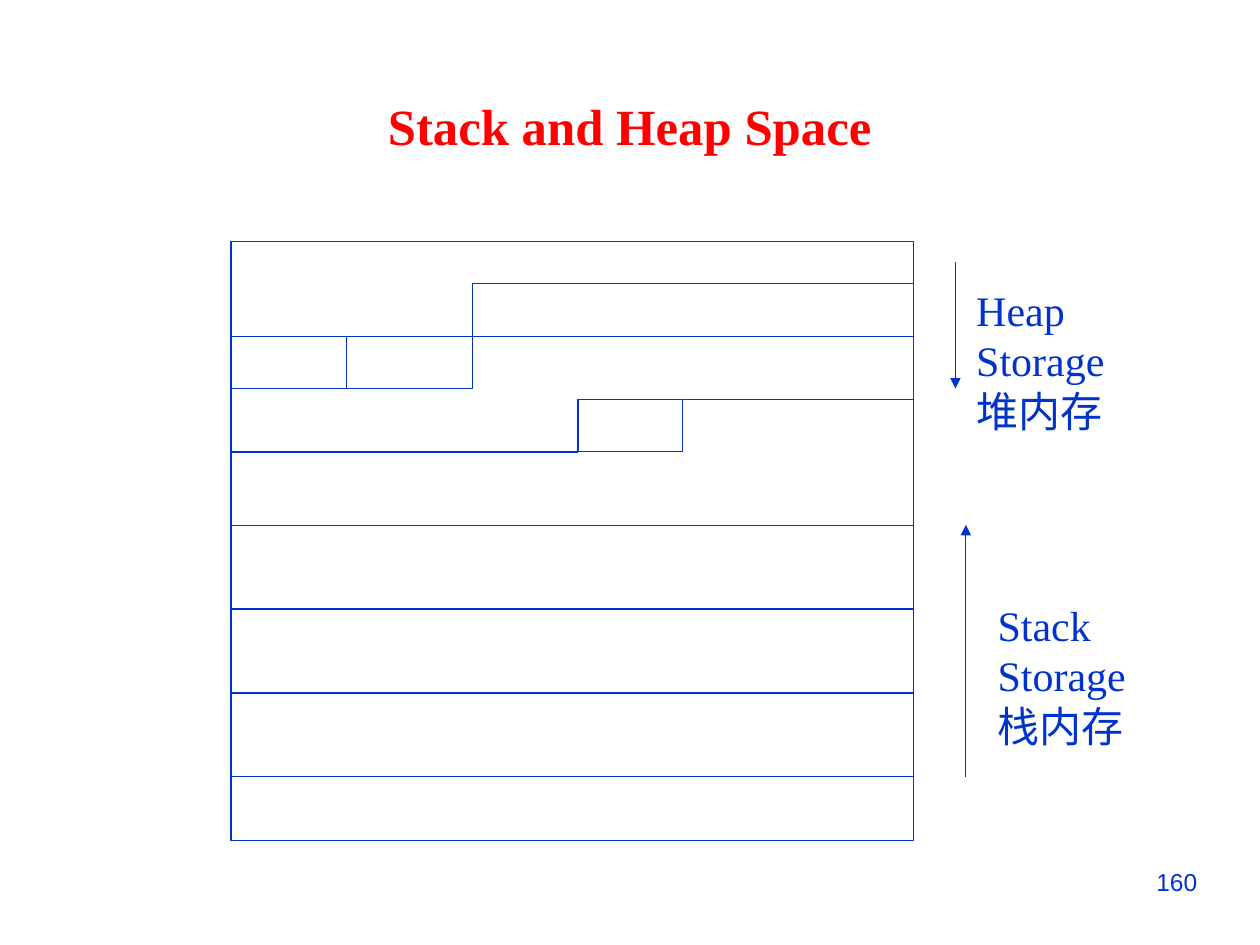
from lxml import etree
from pptx import Presentation
from pptx.dml.color import RGBColor
from pptx.enum import shapes, text
from pptx.oxml import ns
from pptx.util import Cm, Pt

BLUE = RGBColor(0x00, 0x33, 0xCC)
RED = RGBColor(0xFF, 0x00, 0x00)
WHITE = RGBColor(0xFF, 0xFF, 0xFF)
SERIF = "Times New Roman"


def write(shape, words, size=24, font=SERIF, color=BLUE, bold=False, align=None, wrap=False):
    """Fill a shape with one paragraph per line of words, in one format."""
    frame = shape.text_frame
    frame.word_wrap = wrap
    frame.auto_size = text.MSO_AUTO_SIZE.SHAPE_TO_FIT_TEXT
    frame.text = words
    for para in frame.paragraphs:
        para.alignment = align
        for run in para.runs:
            run.font.size, run.font.name, run.font.bold = Pt(size), font, bold
            run.font.color.rgb = color


def cell(parts, x, y, w, h):
    """Draw one white memory cell with a thin blue edge."""
    box = parts.add_shape(shapes.MSO_SHAPE.RECTANGLE, Cm(x), Cm(y), Cm(w), Cm(h))
    box.shadow.inherit = False
    box.fill.solid()
    box.fill.fore_color.rgb = WHITE
    box.line.color.rgb = BLUE
    box.line.width = Pt(0.75)


def rule(parts, x, y, x2, y2, arrow=False):
    """Draw a thin blue line, with an arrowhead at its end if asked."""
    line = parts.add_connector(shapes.MSO_CONNECTOR.STRAIGHT, Cm(x), Cm(y), Cm(x2), Cm(y2))
    line.line.color.rgb = BLUE
    line.line.width = Pt(0.75)
    if arrow:
        etree.SubElement(line.line._get_or_add_ln(), ns.qn("a:tailEnd"), type="triangle")
    etree.SubElement(line._element.spPr, ns.qn("a:effectLst"))


def title(slide, words, x, y, w, h):
    """Place the slide title in its box."""
    head = slide.shapes.title
    head.left, head.top, head.width, head.height = Cm(x), Cm(y), Cm(w), Cm(h)
    head.text_frame.vertical_anchor = text.MSO_ANCHOR.MIDDLE
    write(head, words, size=29, color=RED, bold=True, align=text.PP_ALIGN.CENTER, wrap=True)


def memory(slide, x, y, w, h):
    """Draw the memory block: heap cells above, stack frames below."""
    parts = slide.shapes.add_group_shape().shapes
    cell(parts, x, y, w, h)
    frame = 1.69
    for row in range(3):
        cell(parts, x, y + 5.72 + row * frame, w, frame)
    high, mid, wide = 1.06, 2.33, 4.87
    top, low = y + 1.91, y + 3.18
    left, right = x + 6.99, x + 9.1
    cell(parts, x + wide, top - high, w - wide, high)
    cell(parts, x, top, mid, high)
    cell(parts, x + mid, top, wide - mid, high)
    cell(parts, left, low, right - left, high)
    rule(parts, x, low + high, left, low + high)
    rule(parts, right, low, x + w, low)


def label(slide, words, x, y, w, h, **form):
    """Place a text box with the given words."""
    write(slide.shapes.add_textbox(Cm(x), Cm(y), Cm(w), Cm(h)), words, **form)


def growth(slide, name, x, start, end, gap, y):
    """Draw a growth arrow and the storage name beside it."""
    rule(slide.shapes, x, start, x, end, arrow=True)
    label(slide, name, x + gap, y, 3.15, 3.35)


def main():
    """Build and save the slide."""
    deck = Presentation()
    deck.slide_width, deck.slide_height = Cm(25.4), Cm(19.05)
    slide = deck.slides.add_slide(deck.slide_layouts[5])
    title(slide, "Stack and Heap Space", 0.84, 1.78, 23.72, 1.5)
    memory(slide, 4.66, 4.87, 13.76, 12.07)
    growth(slide, "Heap\nStorage\v堆内存", 19.26, 5.29, 7.83, 0.17, 5.61)
    growth(slide, "Stack\nStorage\v栈内存", 19.47, 15.66, 10.58, 0.39, 11.96)
    label(slide, "160", 23.06, 17.35, 1.37, 0.86, size=14, font="Arial", wrap=True)
    deck.save("out.pptx")


if __name__ == "__main__":
    main()
